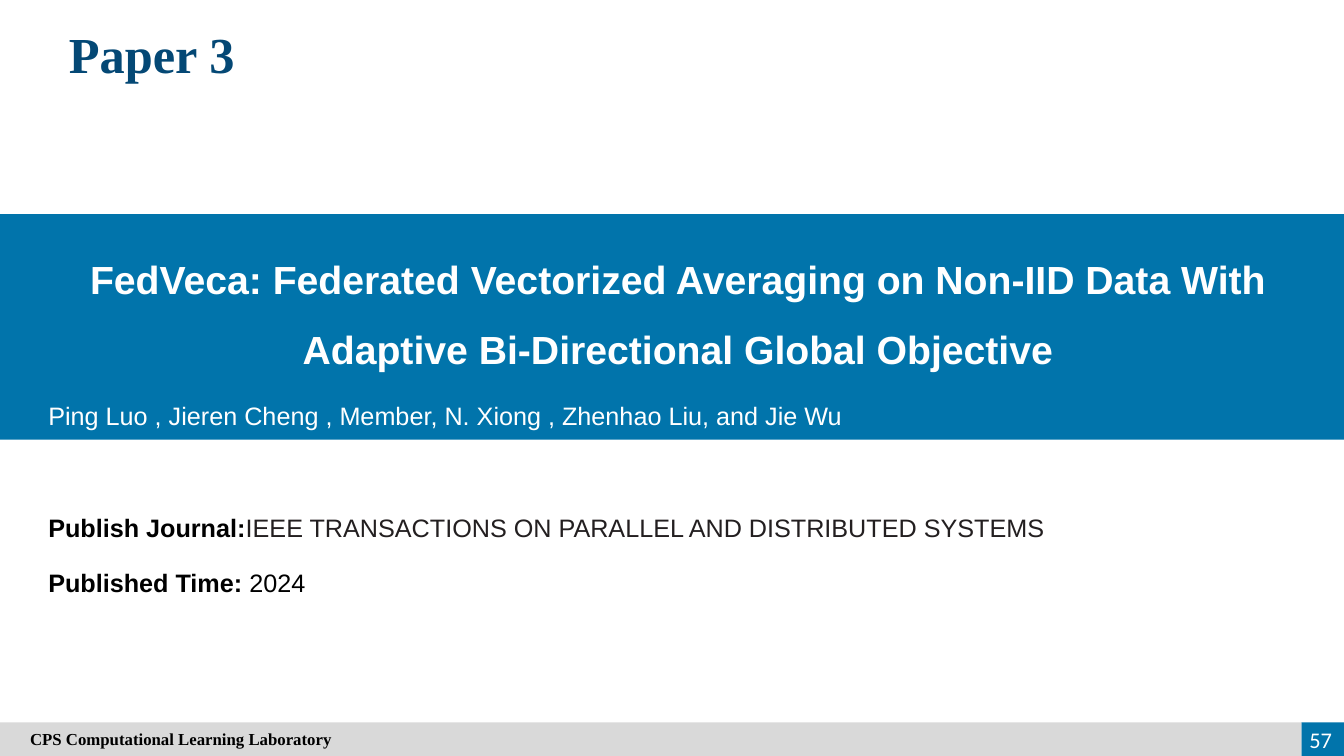
"""Build the title slide for the third paper."""
from pptx import Presentation
from pptx.dml.color import RGBColor
from pptx.enum import shapes, text
from pptx.util import Pt

THEME = {
    "blue": "0174AB", "navy": "044875", "grey": "D9D9D9",
    "white": "FFFFFF", "black": "000000", "ink": "231F20",
    "sans": "Arial", "serif": "Times New Roman", "number": "Calibri",
    "title": 36, "heading": 28, "body": 18, "page": 16, "footer": 12,
}
WIDTH, HEIGHT = 960, 540
MARGIN, LINE_H = 27.4, 29
FOOTER_TOP, PAGE_LEFT = 516, 929.5

TITLE = "Paper 3"
HEADING = ("FedVeca: Federated Vectorized Averaging on Non-IID Data With "
           "Adaptive Bi-Directional Global Objective")
AUTHORS = "Ping Luo , Jieren Cheng , Member, N. Xiong , Zhenhao Liu, and Jie Wu"
DETAILS = [
    ("Publish Journal:", "IEEE TRANSACTIONS ON PARALLEL AND DISTRIBUTED SYSTEMS", "ink"),
    ("Published Time:", " 2024", "black"),
]
DETAILS_TOP, DETAILS_STEP = 362.2, 39.8
FOOTER = "CPS Computational Learning Laboratory"
PAGE = "57"

ALIGN = text.PP_ALIGN
ANCHOR = text.MSO_ANCHOR


def color(name):
    """Return a theme colour."""
    return RGBColor.from_string(THEME[name])


def add_bar(slide, box, fill):
    """Add a plain filled rectangle."""
    sp = slide.shapes.add_shape(shapes.MSO_SHAPE.RECTANGLE, *map(Pt, box))
    sp.shadow.inherit = False
    sp.fill.solid()
    sp.fill.fore_color.rgb = color(fill)
    sp.line.fill.background()
    return sp


def add_box(slide, box):
    """Add an empty text box."""
    return slide.shapes.add_textbox(*map(Pt, box))


def write(sp, runs, size, font="sans", bold=None, align=ALIGN.LEFT, anchor=ANCHOR.TOP):
    """Write (text, colour, bold) runs as one paragraph and return it."""
    tf = sp.text_frame
    tf.word_wrap = True
    tf.auto_size = text.MSO_AUTO_SIZE.NONE
    tf.vertical_anchor = anchor
    p = tf.paragraphs[0]
    p.alignment = align
    p.font.size, p.font.name, p.font.bold = Pt(THEME[size]), THEME[font], bold
    for words, ink, strong in runs:
        r = p.add_run()
        r.text = words
        r.font.color.rgb = color(ink)
        r.font.bold = strong
    return p


def main():
    """Lay out the slide and save it."""
    prs = Presentation()
    prs.slide_width, prs.slide_height = Pt(WIDTH), Pt(HEIGHT)
    slide = prs.slides.add_slide(prs.slide_layouts[5])

    title = slide.shapes.title
    title.left, title.top, title.width, title.height = map(Pt, (MARGIN, 13, 162, 51))
    write(title, [(TITLE, "navy", True)], "title", "serif", align=ALIGN.CENTER)

    add_bar(slide, (0, 153, WIDTH, 161), "blue")
    heading = add_box(slide, (22.3, 164.2, 923.8, 103))
    p = write(heading, [(HEADING, "white", None)], "heading", bold=True,
              align=ALIGN.CENTER, anchor=ANCHOR.MIDDLE)
    p.line_spacing = 1.5
    write(add_box(slide, (MARGIN, 282.2, 902, LINE_H)), [(AUTHORS, "white", None)], "body")

    for i, (label, value, ink) in enumerate(DETAILS):
        sp = add_box(slide, (MARGIN, DETAILS_TOP + i * DETAILS_STEP, 770, LINE_H))
        write(sp, [(label, "black", True), (value, ink, False)], "body")

    footer_h = HEIGHT - FOOTER_TOP
    add_bar(slide, (PAGE_LEFT, FOOTER_TOP, WIDTH - PAGE_LEFT, footer_h), "blue")
    footer = add_bar(slide, (0, FOOTER_TOP, PAGE_LEFT, footer_h), "grey")
    footer.text_frame.margin_left = Pt(21.5)
    write(footer, [(FOOTER, "black", None)], "footer", "serif", True, anchor=ANCHOR.MIDDLE)
    page = add_box(slide, (913.5, 513.5, 45, LINE_H))
    write(page, [(PAGE, "white", None)], "page", "number", align=ALIGN.RIGHT,
          anchor=ANCHOR.MIDDLE)

    prs.save("out.pptx")


if __name__ == "__main__":
    main()
